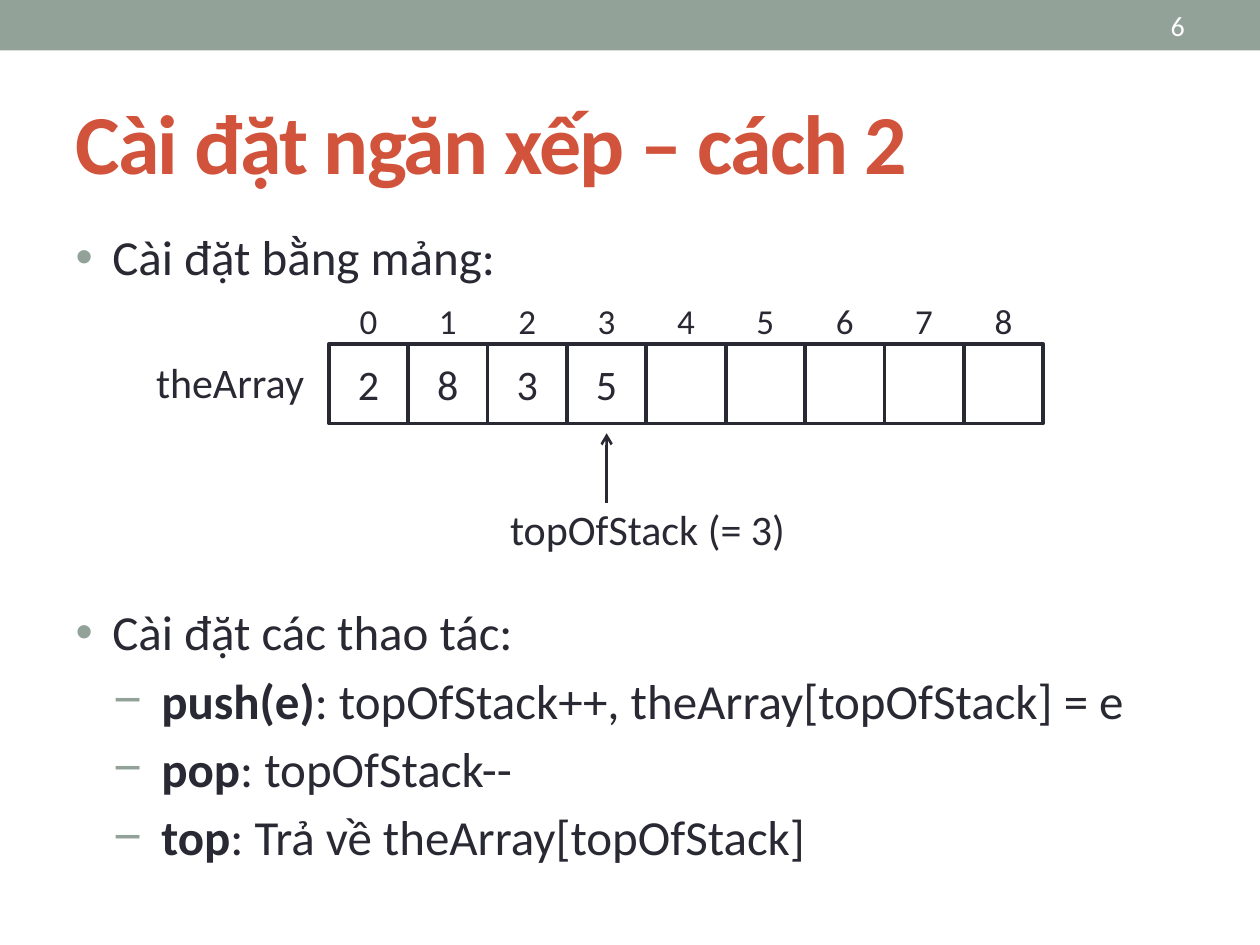
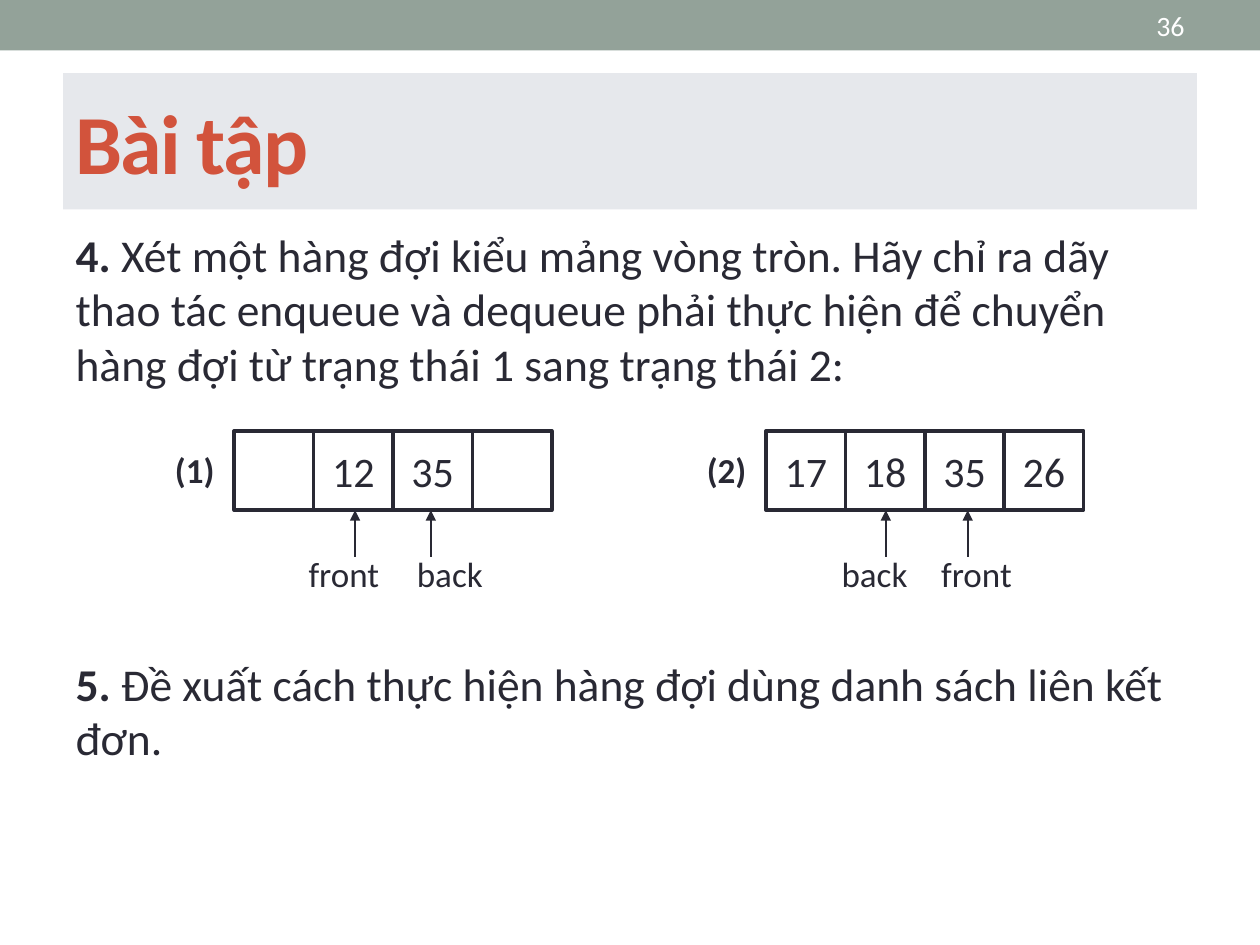
from lxml import etree
from pptx import Presentation
from pptx.dml.color import RGBColor
from pptx.enum.shapes import MSO_CONNECTOR, MSO_SHAPE
from pptx.enum.text import MSO_ANCHOR, MSO_AUTO_SIZE, PP_ALIGN
from pptx.oxml.ns import qn
from pptx.util import Pt

# Shared colours, font and enum members
SAGE = RGBColor(0x93, 0xA2, 0x99)
RUST = RGBColor(0xD2, 0x53, 0x3C)
INK = RGBColor(0x29, 0x29, 0x34)
MIST = RGBColor(0xE6, 0xE8, 0xEC)
WHITE = RGBColor(0xFF, 0xFF, 0xFF)
FONT = "Calibri"
RECT = MSO_SHAPE.RECTANGLE
LINE = MSO_CONNECTOR.STRAIGHT
LEFT, MID, RIGHT = PP_ALIGN.LEFT, PP_ALIGN.CENTER, PP_ALIGN.RIGHT
TOP, CENTRE = MSO_ANCHOR.TOP, MSO_ANCHOR.MIDDLE
FIXED = MSO_AUTO_SIZE.NONE

# Boxes are left, top, width, height in points
BAND = (0, 0, 720, 28.8)
NUMBER = (600, 1.4, 84, 26)
TITLE = (36, 41.8, 648, 77.8)
BODY = (36, 126, 648, 390)
CELL = 45.36

# Left margin, hanging indent and bullet sign of each list level
LEVELS = [(21, -21, "•"), (49, -27.4, "−")]


def assign(item, values):
    for name, value in values.items():
        setattr(item, name, value)


def place(shape, box):
    names = ("left", "top", "width", "height")
    assign(shape, {n: Pt(v) for n, v in zip(names, box)})


def add_run(para, text, size, color=INK, bold=False):
    run = para.add_run()
    run.text = text
    assign(run.font, {"name": FONT, "size": Pt(size), "bold": bold})
    run.font.color.rgb = color
    return run


def label(slide, box, text, size, align=LEFT, anchor=TOP, **style):
    shape = slide.shapes.add_textbox(*map(Pt, box))
    frame = shape.text_frame
    assign(frame, {"word_wrap": True, "vertical_anchor": anchor})
    para = frame.paragraphs[0]
    para.alignment = align
    add_run(para, text, size, **style)


def block(slide, box, fill=None, edge=None):
    shape = slide.shapes.add_shape(RECT, *map(Pt, box))
    shape.shadow.inherit = False
    if fill is None:
        shape.fill.background()
    else:
        shape.fill.solid()
        shape.fill.fore_color.rgb = fill
    if edge is None:
        shape.line.fill.background()
    else:
        shape.line.color.rgb = edge
        shape.line.width = Pt(2.08)
    return shape


def arrow(slide, x, foot, tip, width, head):
    link = slide.shapes.add_connector(LINE, Pt(x), Pt(foot), Pt(x), Pt(tip))
    link.line.color.rgb = INK
    link.line.width = Pt(width)
    end = etree.SubElement(link.line._get_or_add_ln(), qn("a:tailEnd"))
    end.set("type", head)
    etree.SubElement(link._element.spPr, qn("a:effectLst"))


# Band, slide number and title
def frame_slide(deck, title, number, fill=None):
    slide = deck.slides.add_slide(deck.slide_layouts[1])
    block(slide, BAND, fill=SAGE)
    label(slide, NUMBER, number, 16, RIGHT, CENTRE, color=WHITE)
    head = slide.shapes.title
    place(head, TITLE)
    if fill is not None:
        head.fill.solid()
        head.fill.fore_color.rgb = fill
    frame = head.text_frame
    assign(frame, {"vertical_anchor": CENTRE, "auto_size": FIXED})
    para = frame.paragraphs[0]
    para.alignment = LEFT
    run = add_run(para, title, 48, RUST, True)
    run.font._element.set("spc", "-100")
    return slide


# Indent and bullet; a level of None means plain text
def mark(para, level):
    props = para._p.get_or_add_pPr()
    margin, hang, sign = (0, 0, None) if level is None else LEVELS[level]
    props.set("marL", str(Pt(margin)))
    props.set("indent", str(Pt(hang)))
    if sign is None:
        etree.SubElement(props, qn("a:buNone"))
        return
    tint = etree.SubElement(props, qn("a:buClr"))
    etree.SubElement(tint, qn("a:srgbClr")).set("val", str(SAGE))
    etree.SubElement(props, qn("a:buFont")).set("typeface", "Arial")
    etree.SubElement(props, qn("a:buChar")).set("char", sign)


# Each row holds its level, space before, bold lead and plain rest
def body(slide, box, size, rows):
    shape = slide.placeholders[1]
    place(shape, box)
    frame = shape.text_frame
    assign(frame, {"vertical_anchor": TOP, "auto_size": FIXED})
    for i, (level, gap, lead, rest) in enumerate(rows):
        para = frame.add_paragraph() if i else frame.paragraphs[0]
        assign(para, {"level": level or 0, "alignment": LEFT,
                      "space_before": Pt(gap)})
        mark(para, level)
        if lead:
            add_run(para, lead, size, bold=True)
        add_run(para, rest, size)


# Row of array cells
def cells(slide, x, y, values):
    for i, value in enumerate(values):
        shape = block(slide, (x + i * CELL, y, CELL, CELL), edge=INK)
        if value:
            frame = shape.text_frame
            assign(frame, {"margin_left": 0, "margin_right": 0,
                           "vertical_anchor": CENTRE})
            para = frame.paragraphs[0]
            para.alignment = MID
            add_run(para, value, 24)


# Stack array with indexes and the top pointer
def stack(slide, x, y, values, top):
    cells(slide, x, y, values)
    for i in range(len(values)):
        label(slide, (x + i * CELL, y - 28.8, CELL, 31.5), str(i), 20, MID)
    label(slide, (x - 105.8, y + 3.6, 102, 36), "theArray", 24)
    arrow(slide, x + (top + 0.5) * CELL, y + 90.7, y + 51, 1.5, "arrow")
    label(slide, (x + 96.5, y + 87.8, 194, 36), f"topOfStack (= {top})", 24)


# Queue state; each pointer has a name, arrow offset and label offset
def queue(slide, x, y, name, values, marks):
    cells(slide, x, y, values)
    label(slide, (x - 41, y + 6.5, 51, 31.5), name, 20, bold=True)
    for text, tip, start in marks:
        arrow(slide, x + tip, y + 72, y + CELL, 1, "triangle")
        label(slide, (x + start, y + 66.2, 68, 31.5), text, 20)


def stack_slide(deck):
    slide = frame_slide(deck, "Cài đặt ngăn xếp – cách 2", "6")
    body(slide, BODY, 28, [
        (0, 5.4, "", "Cài đặt bằng mảng:"),
        (0, 180.7, "", "Cài đặt các thao tác:"),
        (1, 5.4, "push(e)", ": topOfStack++, theArray[topOfStack] = e"),
        (1, 5.4, "pop", ": topOfStack--"),
        (1, 5.4, "top", ": Trả về theArray[topOfStack]"),
    ])
    stack(slide, 187.9, 196.6, ["2", "8", "3", "5"] + [""] * 5, 3)


def task_slide(deck):
    slide = frame_slide(deck, "Bài tập", "36", MIST)
    body(slide, BODY, 26, [
        (None, 5.2, "4.", " Xét một hàng đợi kiểu mảng vòng tròn. Hãy chỉ ra "
         "dãy thao tác enqueue và dequeue phải thực hiện để chuyển hàng đợi "
         "từ trạng thái 1 sang trạng thái 2:"),
        (None, 151.5, "5. ", "Đề xuất cách thực hiện hàng đợi dùng danh sách "
         "liên kết đơn."),
    ])
    queue(slide, 133.9, 246.2, "(1)", ["", "12", "35", ""],
          [("front", 69, 35.3), ("back", 112.3, 97.2)])
    queue(slide, 437.8, 246.2, "(2)", ["17", "18", "35", "26"],
          [("back", 68.4, 36), ("front", 115.2, 92.9)])


def main():
    deck = Presentation()
    assign(deck, {"slide_width": Pt(720), "slide_height": Pt(540)})
    stack_slide(deck)
    task_slide(deck)
    deck.save("out.pptx")


if __name__ == "__main__":
    main()
